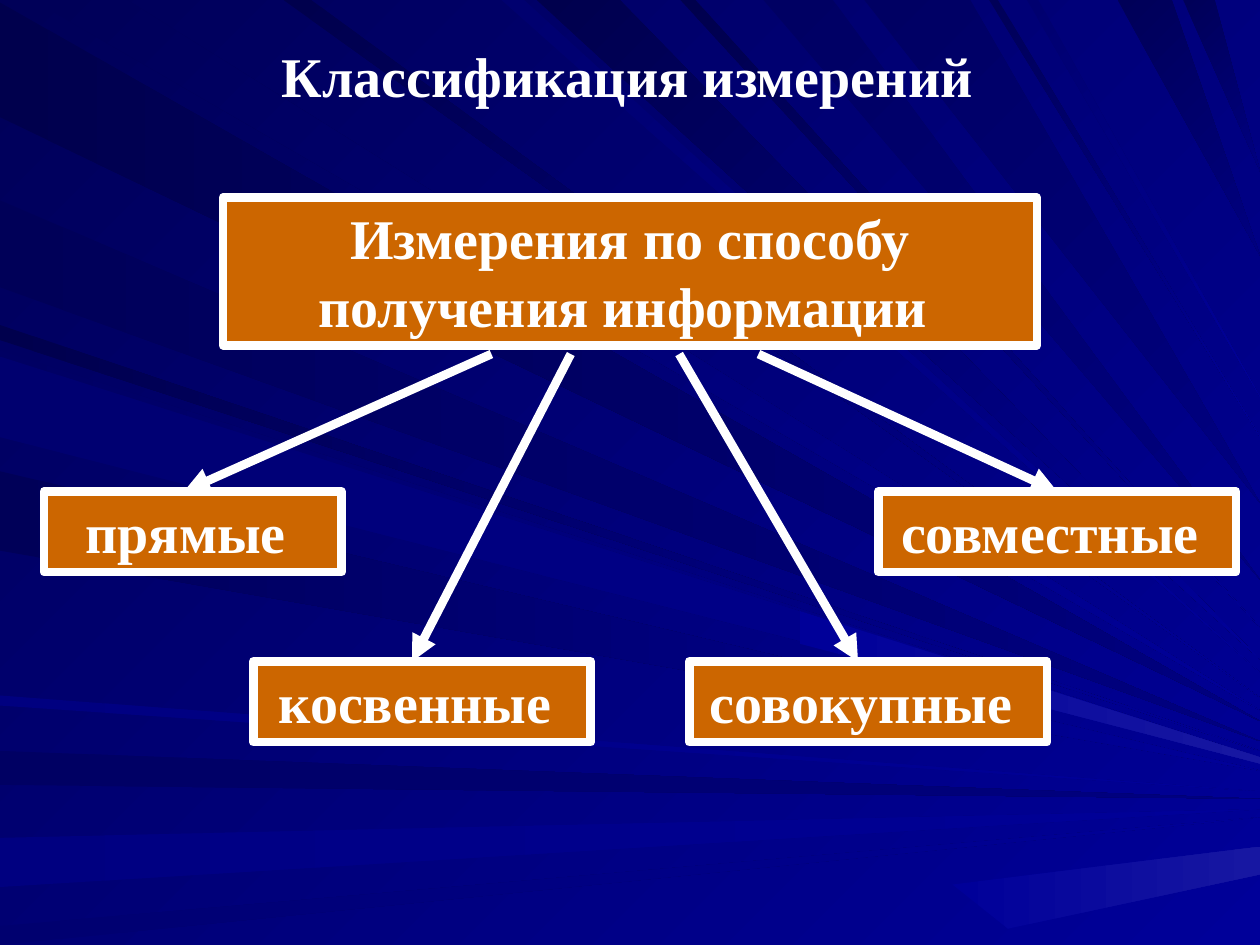
from dataclasses import dataclass

from lxml import etree
from pptx import Presentation
from pptx.dml.color import RGBColor
from pptx.dml.fill import FillFormat
from pptx.enum.shapes import MSO_CONNECTOR, MSO_SHAPE
from pptx.enum.text import MSO_ANCHOR, MSO_AUTO_SIZE, PP_ALIGN
from pptx.oxml.ns import qn
from pptx.shapes.autoshape import Shape
from pptx.slide import Slide
from pptx.util import Inches, Pt

# The grid has 10 columns and 7.5 rows, each cell one inch.
COLUMNS, ROWS = 10, 7.5
WHITE = RGBColor(0xFF, 0xFF, 0xFF)
ORANGE = RGBColor(0xCC, 0x66, 0x00)
DEEP = RGBColor(0x00, 0x00, 0x4D)
DARK = RGBColor(0x00, 0x00, 0x58)
DUSK = RGBColor(0x00, 0x00, 0x63)
NIGHT = RGBColor(0x00, 0x00, 0x6F)
MID = RGBColor(0x00, 0x00, 0x80)
FULL = RGBColor(0x00, 0x00, 0x99)
GLOW = RGBColor(0x17, 0x17, 0xA2)
STRAIGHT = MSO_CONNECTOR.STRAIGHT
RECTANGLE = MSO_SHAPE.RECTANGLE
CENTER = PP_ALIGN.CENTER
TOP, MIDDLE = MSO_ANCHOR.TOP, MSO_ANCHOR.MIDDLE
GROW = MSO_AUTO_SIZE.SHAPE_TO_FIT_TEXT
FONT, FONT_SIZE, LINE_WIDTH = "Times New Roman", Pt(32), Pt(5)

Point = tuple[float, float]


@dataclass(frozen=True)
class Ray:
    """A beam whose base lies on the left edge (negative) or top edge (positive)."""
    near: float
    far: float
    start: RGBColor
    end: RGBColor = FULL


@dataclass(frozen=True)
class Box:
    text: str
    left: float
    top: float
    width: float
    height: float = 0.64


@dataclass(frozen=True)
class Branch:
    """A kind of measurement and the arrow leading to it."""
    box: Box
    start_column: float
    end_column: float


RAYS = (
    Ray(-0.02, -0.93, DEEP, MID),
    Ray(0.26, 1.01, DARK),
    Ray(-5.96, -6.23, DUSK, MID),
    Ray(-6.65, -7.04, MID),
    Ray(-7.35, -7.5, NIGHT),
    Ray(-2.58, -2.7, DEEP),
    Ray(-1.59, -2.28, DARK, MID),
    Ray(3.98, 4.16, NIGHT),
    Ray(4.26, 4.92, DEEP),
    Ray(5.4, 5.52, DEEP),
    Ray(6.06, 6.61, DUSK, MID),
    Ray(8.87, 9.3, DARK, MID),
    Ray(9.39, 9.64, DARK, MID),
    Ray(-2.78, -3.42, DUSK),
    Ray(-3.74, -4.37, DARK),
    Ray(-5.52, -5.6, MID),
    Ray(2.25, 2.47, DEEP),
    Ray(6.86, 7.7, DUSK, MID),
    Ray(7.85, 7.92, DARK),
    Ray(8.15, 8.24, NIGHT),
    Ray(-2.83, -3.47, NIGHT),
)
GLOWS = (
    ((6.35, 4.85), (10, 6.01), (10, 6.06), (6.35, 5.11)),
    ((7.56, 7.02), (10, 6.72), (10, 6.94), (8, 7.37)),
)

TITLE = Box("Классификация измерений ", 0.27, 0.28, 9.53)
ROOT = Box("Измерения по способу получения информации ", 1.77, 1.57, 6.46, 1.17)
ARROW_TOP, UPPER_ROW, LOWER_ROW = 2.81, 3.9, 5.25
BRANCHES = (
    Branch(Box("прямые ", 0.35, UPPER_ROW, 2.36), 3.9, 1.46),
    Branch(Box("косвенные ", 2.01, LOWER_ROW, 2.68), 4.53, 3.27),
    Branch(Box("совокупные ", 5.47, LOWER_ROW, 2.84), 5.39, 6.81),
    Branch(Box("совместные ", 6.97, UPPER_ROW, 2.84), 6.02, 8.39),
)


def shade(fill: FillFormat, start: RGBColor, end: RGBColor, angle: int) -> None:
    """Fill with a gradient turned clockwise by angle."""
    fill.gradient()
    fill.gradient_angle = -angle % 360
    for stop, color in zip(fill.gradient_stops, (start, end)):
        stop.color.rgb = color


def draw_outline(slide: Slide, points: tuple[Point, ...]) -> Shape:
    first, *others = [(Inches(x), Inches(y)) for x, y in points]
    builder = slide.shapes.build_freeform(*first)
    builder.add_line_segments(others, close=True)
    shape = builder.convert_to_shape()
    shape.shadow.inherit = False
    shape.line.fill.background()
    return shape


def draw_ray(slide: Slide, ray: Ray) -> None:
    """Draw a wedge; its tip rises along the right edge as the base moves right."""
    middle = (ray.near + ray.far) / 2
    from_top = middle > 0
    drop = 0.05 * middle + 4 * (middle / COLUMNS) ** 4 * 1.17 if from_top else 0.11 * middle
    base = [(edge, 0) if from_top else (0, -edge) for edge in (ray.near, ray.far)]
    shape = draw_outline(slide, (*base, (COLUMNS, 5.67 - drop)))
    shade(shape.fill, ray.start, ray.end, 45 if from_top else 0)


def grid_lengths(box: Box) -> list[int]:
    return [Inches(length) for length in (box.left, box.top, box.width, box.height)]


def write_text(shape: Shape, text: str, anchor: MSO_ANCHOR) -> None:
    frame = shape.text_frame
    frame.word_wrap = True
    frame.auto_size = GROW
    frame.vertical_anchor = anchor
    paragraph = frame.paragraphs[0]
    paragraph.text = text
    paragraph.alignment = CENTER
    font = paragraph.font
    font.name, font.size, font.bold = FONT, FONT_SIZE, True
    font.color.rgb = WHITE


def draw_box(slide: Slide, box: Box) -> None:
    shape = slide.shapes.add_shape(RECTANGLE, *grid_lengths(box))
    shape.shadow.inherit = False
    shape.fill.solid()
    shape.fill.fore_color.rgb = ORANGE
    shape.line.color.rgb = WHITE
    shape.line.width = LINE_WIDTH
    write_text(shape, box.text, TOP)
    shape.text_frame.paragraphs[0].space_before = Pt(20)


def draw_arrow(slide: Slide, start: Point, end: Point) -> None:
    ends = [Inches(length) for length in (*start, *end)]
    connector = slide.shapes.add_connector(STRAIGHT, *ends)
    connector.line.color.rgb = WHITE
    connector.line.width = LINE_WIDTH
    properties = connector.element.spPr
    etree.SubElement(properties.find(qn("a:ln")), qn("a:tailEnd"), type="triangle")
    etree.SubElement(properties, qn("a:effectLst"))


def main() -> None:
    presentation = Presentation()
    presentation.slide_width = Inches(COLUMNS)
    presentation.slide_height = Inches(ROWS)
    slide = presentation.slides.add_slide(presentation.slide_layouts[6])
    shade(slide.background.fill, DARK, FULL, 45)
    for ray in RAYS:
        draw_ray(slide, ray)
    for points in GLOWS:
        shade(draw_outline(slide, points).fill, FULL, GLOW, 0)
    title = slide.shapes.add_textbox(*grid_lengths(TITLE))
    write_text(title, TITLE.text, MIDDLE)
    draw_box(slide, ROOT)
    for branch in BRANCHES:
        box = branch.box
        draw_arrow(slide, (branch.start_column, ARROW_TOP), (branch.end_column, box.top))
        draw_box(slide, box)
    presentation.save("out.pptx")


if __name__ == "__main__":
    main()
